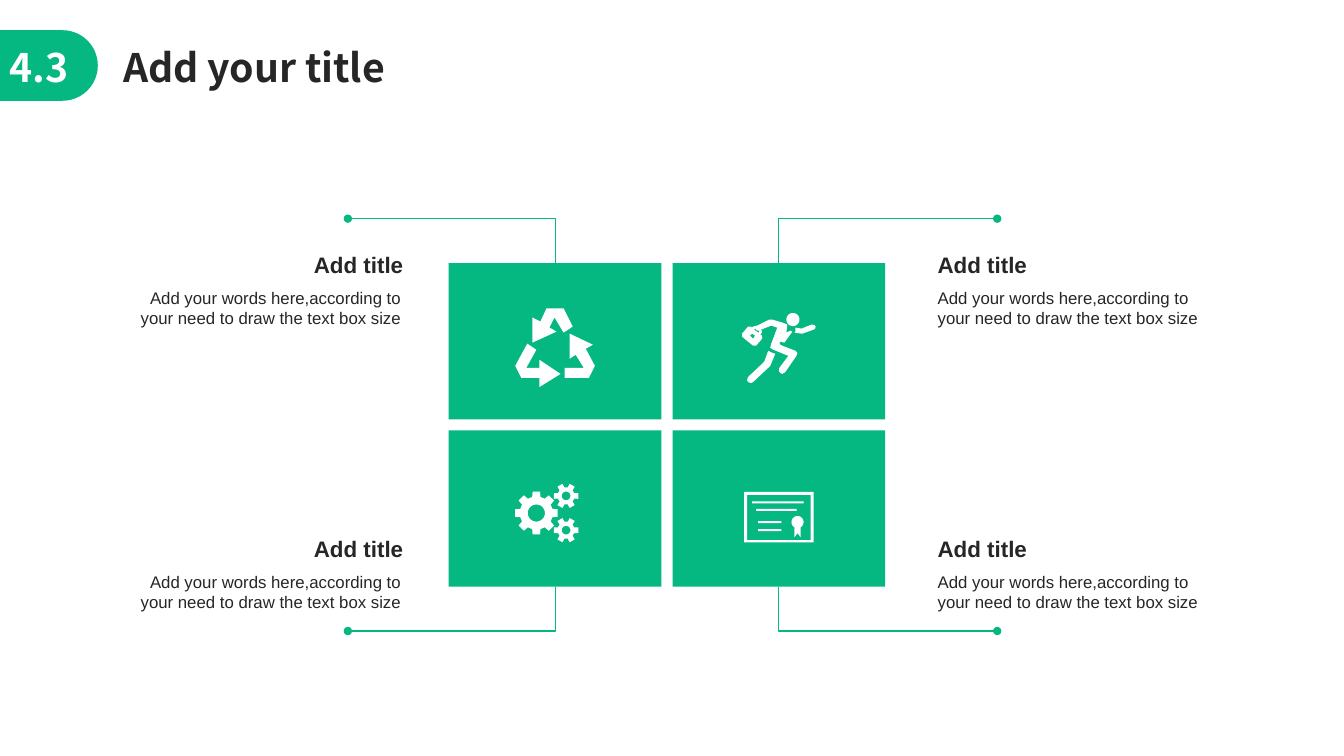
from math import cos, radians, sin

from lxml import etree
from pptx import Presentation, util as u
from pptx.dml.color import RGBColor
from pptx.enum import shapes, text
from pptx.oxml import ns

# Palette, fonts and grid (inches)
GREEN, WHITE, DARK = "05B780", "FFFFFF", "262626"
HEADING_FONT, BODY_FONT = "Noto Sans CJK SC", "Arial"
TILE_LEFT, TILE_TOP, TILE_WIDTH, TILE_HEIGHT = 4.45, 2.61, 2.11, 1.55
COLUMN_STEP, ROW_STEP = 2.22, 1.66
DOT_X = (3.45, 9.89)
ELBOW_RISE = 0.44
TEXT_TOP, TEXT_STEP = 2.49, 2.82
CAPTION_BOXES = ((2.6, 1.4), (9.3, 1.64))
DETAIL_BOXES = ((1.32, 2.66), (9.3, 2.7))
CAPTION = "Add title"
DETAIL = "Add your words here,according to your need to draw the text box size"

HEADING = dict(name=HEADING_FONT, size=u.Pt(28), bold=True)
CAPTION_FORMAT = dict(name=BODY_FONT, size=u.Pt(16), bold=True)
DETAIL_FORMAT = dict(name=BODY_FONT, size=u.Pt(12), bold=False)


def color(value):
    return RGBColor.from_string(value)


def paint(shape, fill):
    shape.shadow.inherit = False
    shape.fill.solid()
    shape.fill.fore_color.rgb = color(fill)
    shape.line.fill.background()
    return shape


def write(shape, words, formats, ink, alignment=text.PP_ALIGN.LEFT,
          anchor=text.MSO_ANCHOR.MIDDLE, margins=(0.1, 0.05)):
    frame = shape.text_frame
    frame.text = words
    horizontal, vertical = (u.Inches(margin) for margin in margins)
    settings = dict(word_wrap=True, auto_size=text.MSO_AUTO_SIZE.NONE,
                    vertical_anchor=anchor, margin_left=horizontal,
                    margin_right=horizontal, margin_top=vertical,
                    margin_bottom=vertical)
    for name, value in settings.items():
        setattr(frame, name, value)
    paragraph = frame.paragraphs[0]
    paragraph.alignment = alignment
    for name, value in formats.items():
        setattr(paragraph.font, name, value)
    paragraph.font.color.rgb = color(ink)


def place(shape, left, top, width, height):
    box = dict(left=left, top=top, width=width, height=height)
    for name, value in box.items():
        setattr(shape, name, u.Inches(value))


def add_text(slide, box, *content, **options):
    shape = slide.shapes.add_textbox(*map(u.Inches, box))
    write(shape, *content, **options)


def add_header(slide):
    # A tab with two round corners, turned so that they face right
    tab = slide.shapes.add_shape(shapes.MSO_SHAPE.ROUND_2_SAME_RECTANGLE,
                                 *map(u.Inches, (0.135, 0.165, 0.7, 0.97)))
    tab.adjustments[0] = 0.5
    tab.rotation = 90
    paint(tab, GREEN)
    add_text(slide, (0, 0.38, 0.89, 0.57), "4.3", HEADING, WHITE)
    place(slide.shapes.title, 1.12, 0.38, 3.24, 0.57)
    write(slide.shapes.title, "Add your title", HEADING, DARK)


def add_tile(slide, column, row):
    box = (TILE_LEFT + column * COLUMN_STEP, TILE_TOP + row * ROW_STEP,
           TILE_WIDTH, TILE_HEIGHT)
    tile = slide.shapes.add_shape(shapes.MSO_SHAPE.RECTANGLE, *map(u.Inches, box))
    return paint(tile, GREEN)


def add_elbow(slide, tile, column, row):
    start_x = TILE_LEFT + column * COLUMN_STEP + TILE_WIDTH / 2
    start_y = TILE_TOP + row * (ROW_STEP + TILE_HEIGHT)
    end_x = DOT_X[column]
    end_y = start_y + (ELBOW_RISE if row else -ELBOW_RISE)
    elbow = slide.shapes.add_connector(shapes.MSO_CONNECTOR.ELBOW,
                                       *map(u.Inches, (start_x, start_y, end_x, end_y)))
    elbow.begin_connect(tile, 2 if row else 0)
    # Single-corner elbow: quarter turn, so its box is the span on end
    run = abs(end_x - start_x)
    place(elbow, (start_x + end_x - ELBOW_RISE) / 2,
          (start_y + end_y - run) / 2, ELBOW_RISE, run)
    properties = elbow._element.spPr
    frame = properties.find(ns.qn("a:xfrm"))
    frame.rot = 270 if column == row else 90
    frame.flipH, frame.flipV = column == 1, row == 0
    properties.find(ns.qn("a:prstGeom")).set("prst", "bentConnector2")
    elbow.line.color.rgb = color(GREEN)
    elbow.line.width = u.Pt(0.75)
    outline = properties.find(ns.qn("a:ln"))
    etree.SubElement(outline, ns.qn("a:tailEnd"), type="oval")
    etree.SubElement(properties, ns.qn("a:effectLst"))


def add_captions(slide, column, row):
    top = TEXT_TOP + row * TEXT_STEP
    options = dict(margins=(0, 0), anchor=text.MSO_ANCHOR.TOP,
                   alignment=text.PP_ALIGN.LEFT if column else text.PP_ALIGN.RIGHT)
    left, width = CAPTION_BOXES[column]
    add_text(slide, (left, top, width, 0.27), CAPTION, CAPTION_FORMAT, DARK, **options)
    left, width = DETAIL_BOXES[column]
    add_text(slide, (left, top + 0.36, width, 0.4), DETAIL, DETAIL_FORMAT, DARK, **options)


# Icon outlines, in hundredths of an inch from the icon's corner
def polar(x, y, radius, angle):
    return x + radius * cos(radians(angle)), y + radius * sin(radians(angle))


def arc(x, y, radius, start=0, end=350):
    return [polar(x, y, radius, angle) for angle in range(start, end + 1, 10)]


def bar(left, top, right, bottom):
    return [(left, top), (right, top), (right, bottom), (left, bottom)]


def gear(x, y, tip, root, hole, teeth):
    profile = ((-0.32, root), (-0.22, tip), (0.22, tip), (0.32, root))
    rim = [polar(x, y, radius, (tooth + shift) * 360 / teeth)
           for tooth in range(teeth) for shift, radius in profile]
    return [rim, arc(x, y, hole)]


RECYCLE = [
    [(48, 0), (31, 0), (25, 13), (17, 9), (17, 34), (41, 23), (34, 19), (39, 9),
     (48, 24), (57, 18)],
    [(24, 59), (11, 59), (21, 41), (12, 35), (0, 57), (6, 69), (24, 69), (24, 78),
     (45, 65), (24, 51)],
    [(70, 40), (77, 36), (54, 25), (54, 50), (60, 46), (68, 59), (49, 59), (49, 69),
     (73, 69), (79, 57)],
]
RUNNER = [
    arc(51.5, 7, 6.5),
    # Front arm
    [(74, 14), (73, 12.5), (70, 12), (60, 16), (54, 15), (54, 19), (53, 20), (60, 21),
     (61, 21), (72, 17), (73.5, 16)],
    # Body, front leg and case
    [(54, 38), (41, 33), (39, 32), (38, 30), (40, 29), (43, 30), (51, 19), (49, 18),
     (45, 20), (46, 12), (41, 10), (31, 7), (28, 7), (16, 13), (12, 14), (11, 15),
     (10, 14), (7, 14), (1, 21), (1, 24), (12, 33), (15, 33), (21, 26), (21, 23),
     (19, 22), (20, 21), (21, 19), (20, 17), (30, 13), (36, 15), (30, 31), (29, 35),
     (32, 37), (47, 43), (38, 55), (37.5, 58), (39, 60), (41, 61), (44, 59), (55, 43),
     (56, 40)],
    # Openings in the case
    [(18, 19), (17, 20), (13, 17), (14, 16), (16, 18), (18, 18)],
    [(12, 26), (9, 23), (11, 21), (14, 23)],
    # Back leg
    [(27, 38), (23, 49), (7, 64), (6, 67), (7, 69), (10, 70), (12, 69), (28, 54),
     (29, 53), (34, 41), (31, 40)],
]
GEARS = (gear(21, 29, 21.5, 16.5, 8.5, 8) + gear(50.5, 12, 12.5, 8.5, 4.3, 6)
         + gear(50.5, 46, 12.5, 8.5, 4.3, 6))
CERTIFICATE = [
    bar(0, 0, 69, 50), bar(3, 3, 66, 48), bar(8, 9.5, 59, 11.5), bar(12, 17, 52, 19),
    bar(14, 29, 37, 31), bar(14, 37, 37, 39),
    arc(53, 30, 6, 120, 420) + [(56, 45), (53, 41), (50, 45)],
]
TILES = [  # column, row, icon outlines, icon corner
    (0, 0, RECYCLE, (5.11, 3.06)), (1, 0, RUNNER, (7.35, 3.1)),
    (0, 1, GEARS, (5.11, 4.8)), (1, 1, CERTIFICATE, (7.38, 4.88)),
]


def add_icon(slide, outlines, corner):
    builder = None
    for outline in outlines:
        first, *rest = [(round(x * 100), round(y * 100)) for x, y in outline]
        if builder is None:
            builder = slide.shapes.build_freeform(*first, scale=91.44)
        else:
            builder.move_to(*first)
        builder.add_line_segments(rest, close=True)
    paint(builder.convert_to_shape(*map(u.Inches, corner)), WHITE)


def main():
    presentation = Presentation()
    presentation.slide_width = u.Inches(13.33)
    presentation.slide_height = u.Inches(7.5)
    slide = presentation.slides.add_slide(presentation.slide_layouts[5])
    add_header(slide)
    for column, row, outlines, corner in TILES:
        tile = add_tile(slide, column, row)
        add_elbow(slide, tile, column, row)
        add_captions(slide, column, row)
        add_icon(slide, outlines, corner)
    presentation.save("out.pptx")


if __name__ == "__main__":
    main()
